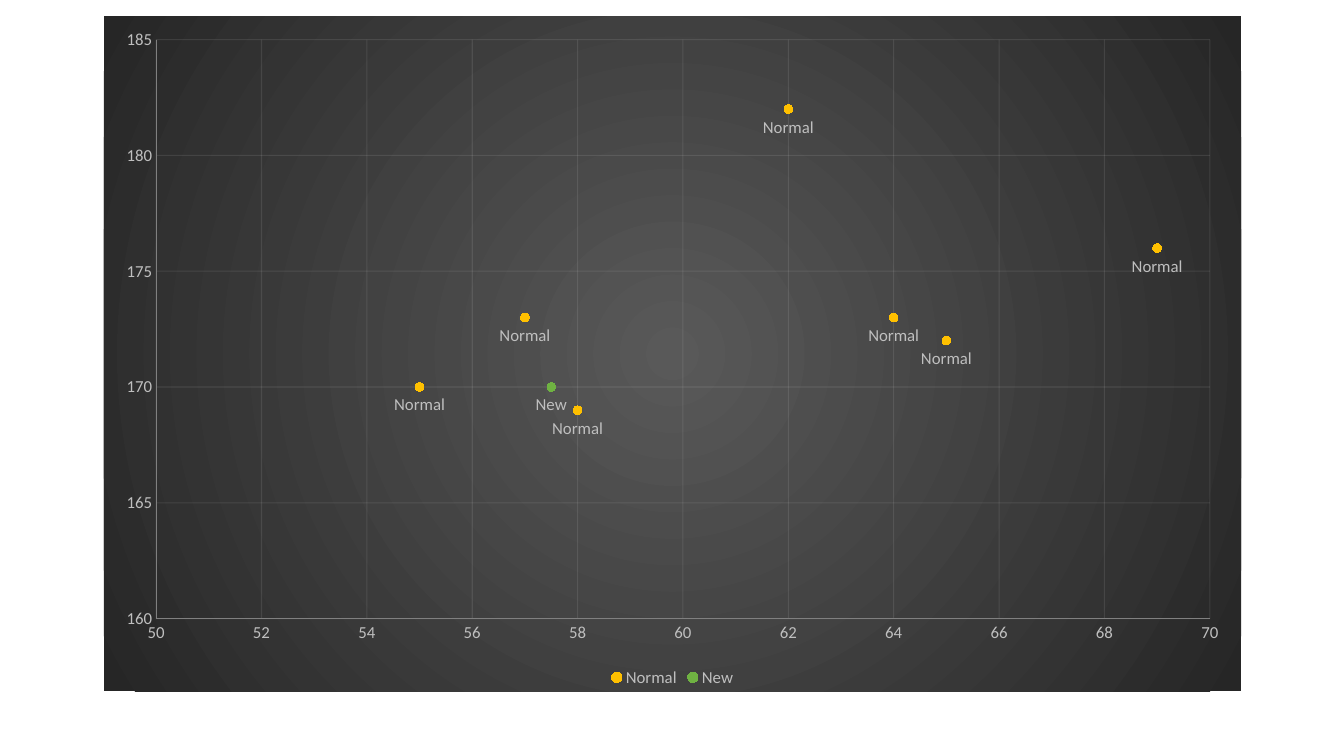
from lxml import etree
from pptx import Presentation
from pptx.chart.data import XyChartData
from pptx.chart.datalabel import DataLabels
from pptx.dml.color import RGBColor
from pptx.enum.chart import (XL_CHART_TYPE, XL_LABEL_POSITION, XL_LEGEND_POSITION,
                             XL_MARKER_STYLE, XL_TICK_MARK)
from pptx.oxml import parse_xml
from pptx.oxml.ns import nsdecls, qn
from pptx.util import Inches, Pt

SCATTER = XL_CHART_TYPE.XY_SCATTER
BELOW = XL_LABEL_POSITION.BELOW
BOTTOM = XL_LEGEND_POSITION.BOTTOM
CIRCLE = XL_MARKER_STYLE.CIRCLE
NO_TICK = XL_TICK_MARK.NONE

# name: (colour, [(weight, height), ...])
GROUPS = {
    "Underweight": ("559BDB", []),
    "Normal": ("FFC000", [(62, 182), (69, 176), (64, 173), (65, 172),
                          (58, 169), (57, 173), (55, 170)]),
    "New": ("6FB242", [(57.5, 170)]),
}
WEIGHT_SCALE = (50, 70, 2)
HEIGHT_SCALE = (160, 185, 5)
CHART_BOX = (1.03, 0.16, 11.28, 6.7)
THEME = {"font": "Calibri", "size": 12, "text": "BFBFBF", "axis": "808080",
         "grid": "F2F2F2", "grid_alpha": 10, "centre": "595959", "edge": "262626"}


def rgb(key):
    return RGBColor.from_string(THEME[key])


def style_font(font):
    font.name, font.size = THEME["font"], Pt(THEME["size"])
    font.color.rgb = rgb("text")


def style_axis(axis, scale):
    axis.minimum_scale, axis.maximum_scale, axis.major_unit = scale
    axis.major_tick_mark = axis.minor_tick_mark = NO_TICK
    style_font(axis.tick_labels.font)
    axis.tick_labels.number_format = "General"
    axis.tick_labels.number_format_is_linked = False
    axis.format.line.color.rgb = rgb("axis")
    axis.format.line.width = Pt(0.75)
    axis.has_major_gridlines = True
    line = axis.major_gridlines.format.line
    line.color.rgb = rgb("grid")
    line.width = Pt(0.75)
    color = next(axis.major_gridlines._xAx.find(qn("c:majorGridlines")).iter(qn("a:srgbClr")))
    etree.SubElement(color, qn("a:alpha")).set("val", str(THEME["grid_alpha"] * 1000))


def style_series(series, color):
    series.format.line.fill.background()
    marker = series.marker
    marker.style, marker.size = CIRCLE, 6
    marker.format.fill.solid()
    marker.format.fill.fore_color.rgb = RGBColor.from_string(color)
    marker.format.line.fill.background()
    labels = DataLabels(series._element.get_or_add_dLbls())
    labels.show_series_name, labels.show_value = True, False
    labels.position = BELOW
    style_font(labels.font)


def fill_radial(chart):
    """Give the chart area a circular gradient from its centre outwards."""
    stops = "".join(f'<a:gs pos="{pos}"><a:srgbClr val="{THEME[key]}"/></a:gs>'
                    for pos, key in ((0, "centre"), (100000, "edge")))
    area = parse_xml(
        f'<c:spPr {nsdecls("c", "a")}><a:gradFill><a:gsLst>{stops}</a:gsLst>'
        '<a:path path="circle"><a:fillToRect l="50000" t="50000" r="50000" b="50000"/>'
        '</a:path></a:gradFill><a:ln><a:noFill/></a:ln></c:spPr>')
    chart._chartSpace.find(qn("c:chart")).addnext(area)


def main():
    prs = Presentation()
    prs.slide_width, prs.slide_height = Inches(13.33), Inches(7.5)
    s = prs.slides.add_slide(prs.slide_layouts[6])

    data = XyChartData()
    for name, (_, points) in GROUPS.items():
        group = data.add_series(name)
        for weight, height in points:
            group.add_data_point(weight, height)

    chart = s.shapes.add_chart(SCATTER, *map(Inches, CHART_BOX), data).chart
    style_font(chart.font)
    chart.has_title = False
    chart.has_legend = True
    chart.legend.position = BOTTOM
    chart.legend.include_in_layout = False
    style_font(chart.legend.font)
    chart.plots[0].vary_by_categories = False
    style_axis(chart.category_axis, WEIGHT_SCALE)
    style_axis(chart.value_axis, HEIGHT_SCALE)
    for series, (color, _) in zip(chart.plots[0].series, GROUPS.values()):
        style_series(series, color)
    fill_radial(chart)
    prs.save("out.pptx")


if __name__ == "__main__":
    main()
